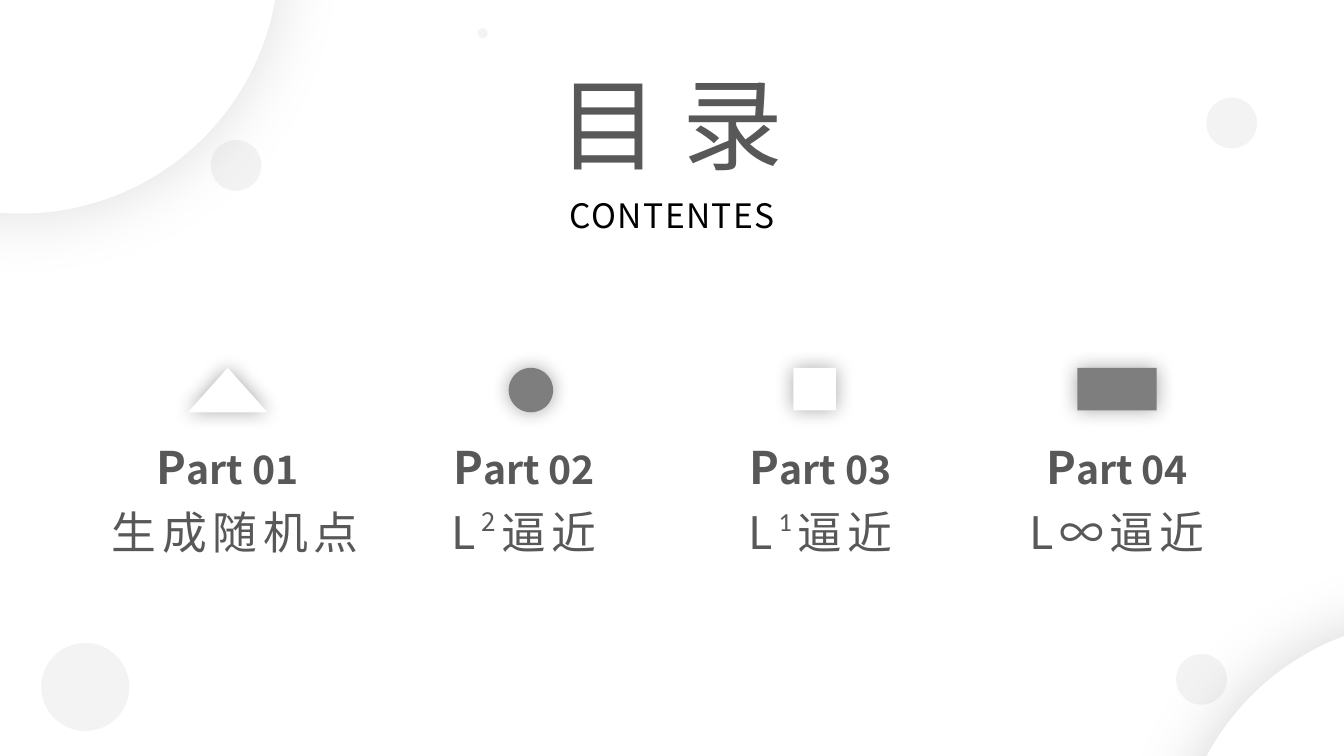
from lxml.etree import SubElement
from pptx import Presentation
from pptx.dml.color import RGBColor
from pptx.enum.shapes import MSO_SHAPE
from pptx.enum.text import MSO_AUTO_SIZE, PP_ALIGN
from pptx.oxml.ns import qn
from pptx.util import Cm, Pt

HEX = {"white": "FFFFFF", "gray": "7E7E7E", "text": "585858", "black": "000000"}
FONT = "Noto Sans CJK SC"

# Content: lengths in cm, text sizes in points
TITLE = ("目 录", (10.41, 1.42, 13, 3.33), {"size": 72})
SUB = ("CONTENTES", (10.8, 4.78, 12.29, 1.27),
       {"size": 24, "color": "black", "spc": 1})
LABEL = {"size": 32, "spc": 4}
# Icon: kind, fill, width, height, shift; label: runs, width, height, shift
PARTS = [
    ((MSO_SHAPE.ISOSCELES_TRIANGLE, "white", 2, 1.12, 0),
     ([("生成随机点", {})], 7.14, 1.63, 0.19)),
    ((MSO_SHAPE.OVAL, "gray", 1.12, 1.12, 0.17),
     ([("L", {}), ("2", {"base": 40}), ("逼近", {})], 5.61, 3, 0)),
    ((MSO_SHAPE.RECTANGLE, "white", 1.07, 1.07, -0.15),
     ([("L", {}), ("1", {"base": 40, "name": "Calibri"}), ("逼近", {})],
      5.61, 1.63, 0)),
    ((MSO_SHAPE.RECTANGLE, "gray", 2, 1.07, 0),
     ([("L∞逼近", {})], 5.61, 1.63, 0)),
]
# Discs: left, top, size, shadow opacity
DISCS = [(-5.97, -7.62, 13, 13), (29.64, 15.62, 13, 17)]
DOTS = [(30.4, 2.46, 1.28), (1.04, 16.2, 2.22), (12.04, 0.71, 0.25),
        (5.31, 3.53, 1.28), (29.64, 16.48, 1.28)]
MID, STEP = 5.74, 7.47
ICON_Y, PART_Y, LABEL_Y = 9.27, 10.95, 12.6


def add_text(home, box, runs):
    frame = home.add_textbox(*map(Cm, box)).text_frame
    frame.word_wrap = True
    frame.auto_size = MSO_AUTO_SIZE.SHAPE_TO_FIT_TEXT
    para = frame.paragraphs[0]
    para.alignment = PP_ALIGN.CENTER
    for text, look in runs:
        look = {"name": FONT, "color": "text", **look}
        run = para.add_run()
        run.text = text
        run.font.color.rgb = RGBColor.from_string(HEX[look.pop("color")])
        props = run._r.get_or_add_rPr()
        # Spacing and raised digits are XML attributes
        for key, attr, unit in (("spc", "spc", 100), ("base", "baseline", 1000)):
            if key in look:
                props.set(attr, str(look.pop(key) * unit))
        look["size"] = Pt(look["size"])
        for key, value in look.items():
            setattr(run.font, key, value)
        SubElement(props, qn("a:ea"), typeface=look["name"])


def add_form(home, kind, box, fill, glow=None, alpha=None):
    form = home.add_shape(kind, *map(Cm, box))
    form.shadow.inherit = False
    form.fill.solid()
    form.fill.fore_color.rgb = RGBColor.from_string(HEX[fill])
    form.line.fill.background()
    props = form._element.spPr
    if alpha:
        tint = props.find(qn("a:solidFill"))[0]
        SubElement(tint, qn("a:alpha"), val=str(alpha * 1000))
    if glow:
        dark, blur = glow
        cast = SubElement(props.find(qn("a:effectLst")), qn("a:outerShdw"),
                          blurRad=str(Pt(blur)), dist="0", dir="0",
                          algn="ctr", rotWithShape="0")
        tint = SubElement(cast, qn("a:srgbClr"), val=HEX["black"])
        SubElement(tint, qn("a:alpha"), val=str(dark * 1000))


deck = Presentation()
deck.slide_width, deck.slide_height = Cm(33.87), Cm(19.05)
slide = deck.slides.add_slide(deck.slide_layouts[6])
page = slide.shapes

# Corner discs and headings
for (x, y, size, dark), (text, box, look) in zip(DISCS, (TITLE, SUB)):
    add_form(page, MSO_SHAPE.OVAL, (x, y, size, size), "white", (dark, 49))
    add_text(page, box, [(text, look)])

# Four parts, each a group on an even pitch
for i, (icon, label) in enumerate(PARTS):
    mid = MID + i * STEP
    group = page.add_group_shape().shapes
    kind, fill, w, h, shift = icon
    add_form(group, kind, (mid + shift - w / 2, ICON_Y, w, h), fill, (35, 14))
    add_text(group, (mid - 2.16, PART_Y, 4.32, 1.63),
             [("P", {"size": 32, "bold": True}),
              (f"art {i + 1:02}", {"size": 28, "bold": True})])
    runs, w, h, shift = label
    add_text(group, (mid + shift - w / 2, LABEL_Y, w, h),
             [(text, {**LABEL, **look}) for text, look in runs])

# Pale dots
for x, y, size in DOTS:
    add_form(page, MSO_SHAPE.OVAL, (x, y, size, size), "gray", alpha=9)

deck.save("out.pptx")
